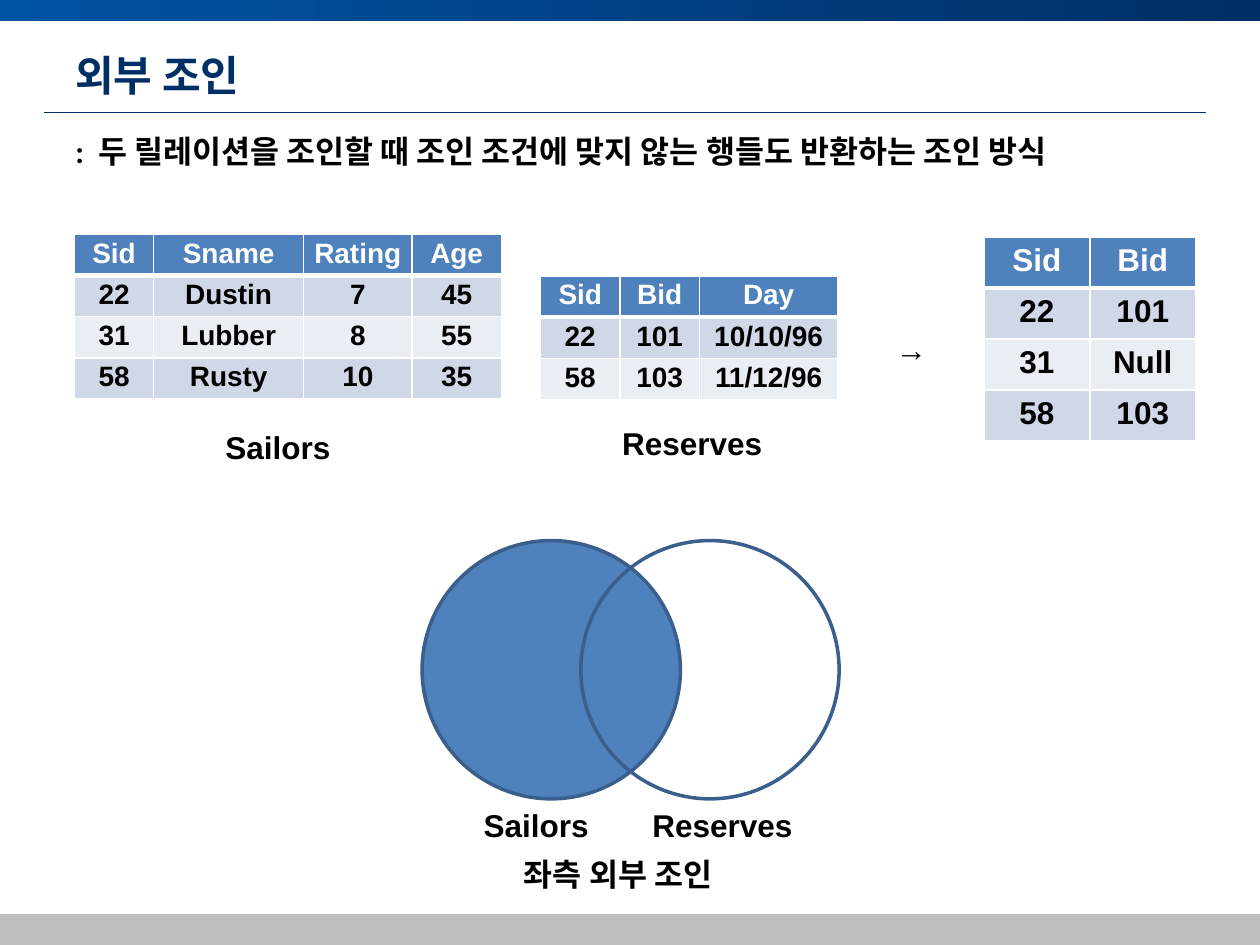
from dataclasses import dataclass
from typing import Any

from lxml.etree import SubElement
from pptx import Presentation
from pptx.dml.color import RGBColor
from pptx.enum.shapes import MSO_CONNECTOR as Connector, MSO_SHAPE as Shape
from pptx.enum.text import MSO_ANCHOR as Anchor, PP_ALIGN as Align
from pptx.oxml.ns import qn
from pptx.util import Inches, Pt

COLUMNS, ROWS = 100, 75  # grid of the slide
KOREAN_FONT = "Noto Sans CJK KR"


def color(code):
    """Turn a hex string into a colour."""
    return RGBColor.from_string(code)


def write(frame, text, size=18, font="Arial", ink="000000", korean=False,
          align=Align.LEFT, anchor=Anchor.TOP):
    """Put one bold, formatted paragraph into a text frame."""
    frame.word_wrap = True
    frame.vertical_anchor = anchor
    paragraph = frame.paragraphs[0]
    paragraph.alignment = align
    run = paragraph.add_run()
    run.text = text
    run.font.name, run.font.size, run.font.bold = font, Pt(size), True
    run.font.color.rgb = color(ink)
    if korean:
        SubElement(run._r.get_or_add_rPr(), qn("a:ea"), typeface=KOREAN_FONT)


def border(cell, widths, ink):
    """Draw cell borders; widths maps an edge tag to points."""
    properties = cell._tc.get_or_add_tcPr()
    for index, (edge, width) in enumerate(widths.items()):
        line = properties.makeelement(qn(f"a:{edge}"), {"w": str(Pt(width))})
        fill = SubElement(line, qn("a:solidFill"))
        SubElement(fill, qn("a:srgbClr"), val=ink)
        properties.insert(index, line)


@dataclass
class Canvas:
    """Style and current slide; lengths are grid columns and rows."""
    slide: Any
    width: int
    height: int
    navy: str = "002F65"
    blue: str = "4F81BD"
    outline: str = "3A5F8C"
    white: str = "FFFFFF"
    bands: tuple = ("D0D8E8", "E9EDF4")

    def place(self, left, top, width, height):
        """Convert a grid box to slide lengths."""
        column, row = self.width / COLUMNS, self.height / ROWS
        return [round(value) for value in
                (left * column, top * row, width * column, height * row)]

    def text(self, box, words, **style):
        """Add a text box."""
        shape = self.slide.shapes.add_textbox(*self.place(*box))
        write(shape.text_frame, words, **style)

    def shape(self, kind, box, fill=None, gradient=None, line=None):
        """Add a preset shape with a solid, gradient or empty fill."""
        shape = self.slide.shapes.add_shape(kind, *self.place(*box))
        shape.shadow.inherit = False
        if gradient:
            shape.fill.gradient()
            shape.fill.gradient_angle = 0
            for stop, code in zip(shape.fill.gradient_stops, gradient):
                stop.color.rgb = color(code)
        elif fill:
            shape.fill.solid()
            shape.fill.fore_color.rgb = color(fill)
        else:
            shape.fill.background()
        if line:
            shape.line.color.rgb = color(line)
            shape.line.width = Pt(2)
        else:
            shape.line.fill.background()

    def rule(self, left, right, top):
        """Add a thin horizontal line."""
        x, y, length, _ = self.place(left, top, right - left, 0)
        line = self.slide.shapes.add_connector(
            Connector.STRAIGHT, x, y, x + length, y)
        line.line.color.rgb = color(self.navy)
        line.line.width = Pt(0.5)
        SubElement(line._element.spPr, qn("a:effectLst"))

    def table(self, left, top, widths, row_height, records, size=16,
              margins=(0.07, 0.03)):
        """Add a table with a header row and banded records."""
        box = self.place(left, top, sum(widths), row_height * len(records))
        table = self.slide.shapes.add_table(
            len(records), len(widths), *box).table
        for column, width in zip(table.columns, widths):
            column.width = self.place(0, 0, width, 0)[2]
        for index, record in enumerate(records):
            table.rows[index].height = self.place(0, 0, 0, row_height)[3]
            header = index == 0
            fill = self.blue if header else self.bands[(index - 1) % 2]
            edges = {"lnL": 1, "lnR": 1, "lnT": 3 if index == 1 else 1,
                     "lnB": 3 if header else 1}
            for position, value in enumerate(record):
                cell = table.cell(index, position)
                cell.margin_left = cell.margin_right = Inches(margins[0])
                cell.margin_top = cell.margin_bottom = Inches(margins[1])
                cell.fill.solid()
                cell.fill.fore_color.rgb = color(fill)
                border(cell, edges, self.white)
                write(cell.text_frame, value, size=size, align=Align.CENTER,
                      ink=self.white if header else "000000")


def build():
    """Build the outer join slide."""
    presentation = Presentation()
    presentation.slide_width, presentation.slide_height = Inches(10), Inches(7.5)
    slide = presentation.slides.add_slide(presentation.slide_layouts[6])
    canvas = Canvas(slide, presentation.slide_width, presentation.slide_height)

    canvas.shape(Shape.RECTANGLE, (0, 0, COLUMNS, 1.7),
                 gradient=("0054A4", canvas.navy))
    canvas.rule(3.5, 95.7, 8.9)
    canvas.shape(Shape.RECTANGLE, (0, 72.55, COLUMNS, 2.45), fill="BFBFBF")
    canvas.text((5, 3, 90, 5.8), "외부 조인", size=24, font=KOREAN_FONT,
                ink=canvas.navy, korean=True, anchor=Anchor.MIDDLE)
    canvas.text((5, 10, 90, 5),
                ":  두 릴레이션을 조인할 때 조인 조건에 맞지 않는 행들도 반환하는 조인 방식",
                font="Calibri", korean=True)

    canvas.table(5.9, 18.6, (6.3, 11.9, 8.6, 7.1), 3.13,
                 [("Sid", "Sname", "Rating", "Age"),
                  ("22", "Dustin", "7", "45"),
                  ("31", "Lubber", "8", "55"),
                  ("58", "Rusty", "10", "35")])
    canvas.table(42.9, 21.9, (6.3, 6.3, 11), 3.13,
                 [("Sid", "Bid", "Day"),
                  ("22", "101", "10/10/96"),
                  ("58", "103", "11/12/96")])
    canvas.table(78.1, 18.8, (8.4, 8.4), 4.05,
                 [("Sid", "Bid"), ("22", "101"), ("31", "Null"), ("58", "103")],
                 size=18, margins=(0.1, 0.05))
    canvas.text((70.1, 25.7, 5.1, 4), "→")

    diameter = 20.5
    for left, fill in ((33.5, canvas.blue), (46.1, None)):
        canvas.shape(Shape.OVAL, (left, 42.9, diameter, diameter),
                     fill=fill, line=canvas.outline)

    for name, width, spots in (
            ("Sailors", 11.8, ((16.9, 33.5), (37.4, 63.5))),
            ("Reserves", 13.4, ((48.4, 33.2), (50.8, 63.5)))):
        for left, top in spots:
            canvas.text((left, top, width, 4), name)
    canvas.text((40.6, 67.4, diameter, 4), "좌측 외부 조인", korean=True)
    presentation.save("out.pptx")


build()
